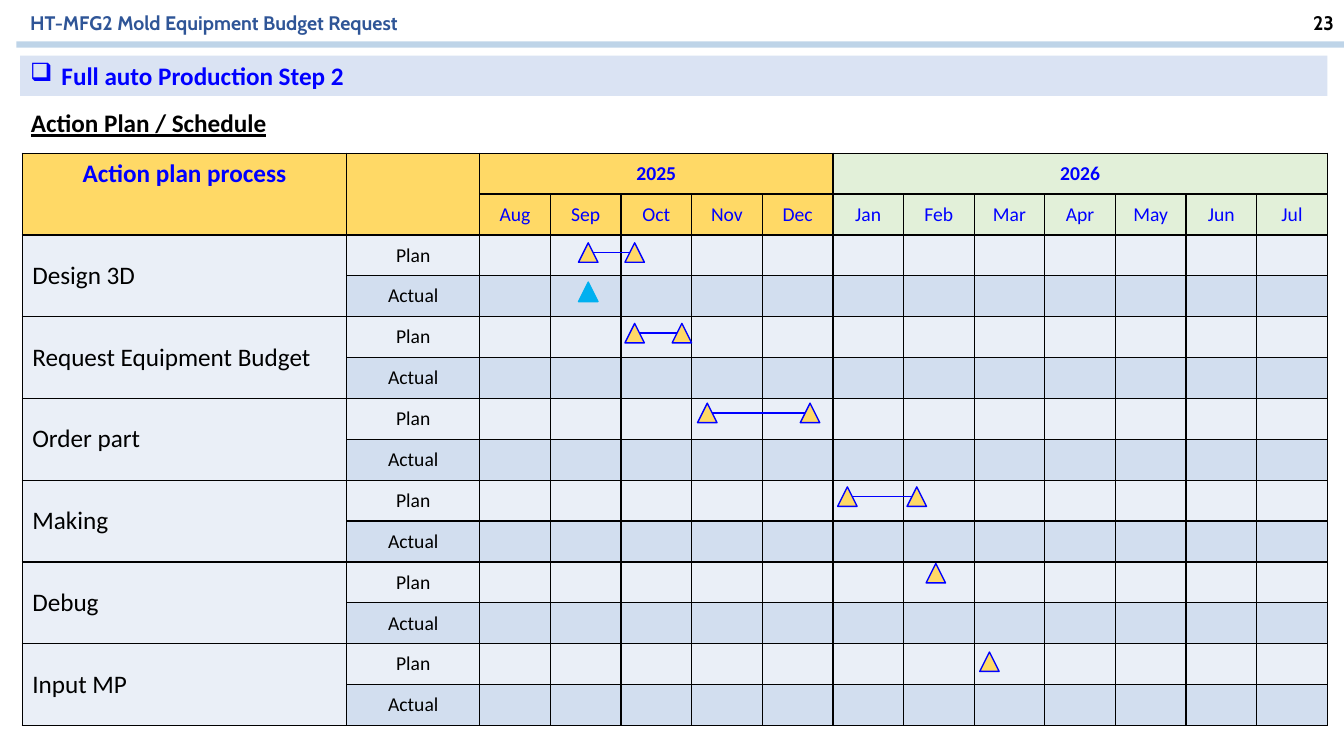
from lxml import etree
from pptx import Presentation
from pptx.dml.color import RGBColor
from pptx.enum import shapes, text
from pptx.oxml import ns, parse_xml
from pptx.util import Cm, Pt

BLUE, BLACK = "0000FF", "000000"
GOLD, GREEN, CYAN = "FFD966", "E2F0D9", "00B0F0"
PLAN_FILL, ACTUAL_FILL = "EAEFF7", "D2DEEF"
CENTER, RIGHT = text.PP_ALIGN.CENTER, text.PP_ALIGN.RIGHT
MIDDLE, TOP = text.MSO_ANCHOR.MIDDLE, text.MSO_ANCHOR.TOP

YEARS = [
    ("2025", GOLD, ["Aug", "Sep", "Oct", "Nov", "Dec"]),
    ("2026", GREEN, ["Jan", "Feb", "Mar", "Apr", "May", "Jun", "Jul"]),
]
PROCESSES = ["Design 3D", "Request Equipment Budget", "Order part",
             "Making", "Debug", "Input MP"]
COLUMN_WIDTHS = [8.18, 3.35] + [1.78] * 12
ROW_HEIGHT = 1.03

# Marker rows: top and lefts in cm from the table corner, fill, outline
MARKER_SIZE = 0.49
MARKER_ROWS = [
    (2.26, [14.02, 15.19], GOLD, BLUE),
    (3.25, [14.02], CYAN, CYAN),
    (4.29, [15.19, 16.38], GOLD, BLUE),
    (6.30, [17.02, 19.61], GOLD, BLUE),
    (8.41, [20.55, 22.30], GOLD, BLUE),
    (10.34, [22.78], GOLD, BLUE),
    (12.57, [24.13], GOLD, BLUE),
]


def color(value):
    return RGBColor.from_string(value)


def fill_solid(item, value):
    item.fill.solid()
    item.fill.fore_color.rgb = color(value)


def write(frame, words, size, ink, font="Calibri", bold=False,
          underline=False, align=None):
    paragraph = frame.paragraphs[0]
    paragraph.alignment = align
    run = paragraph.add_run()
    run.text = words
    run.font.name = font
    run.font.size = Pt(size)
    run.font.bold = bold
    run.font.underline = underline
    run.font.color.rgb = color(ink)
    return paragraph


def add_label(slide, box, words, size, ink, **style):
    frame = slide.shapes.add_textbox(*map(Cm, box)).text_frame
    frame.word_wrap = True
    frame.auto_size = text.MSO_AUTO_SIZE.SHAPE_TO_FIT_TEXT
    write(frame, words, size, ink, **style)


def add_line(slide, left, right, y, ink, weight):
    line = slide.shapes.add_connector(
        shapes.MSO_CONNECTOR.STRAIGHT, Cm(left), Cm(y), Cm(right), Cm(y))
    line.line.color.rgb = color(ink)
    line.line.width = Pt(weight)
    etree.SubElement(line._element.spPr, ns.qn("a:effectLst"))
    return line


def add_header(slide, box):
    left, top, width, height = box
    add_label(slide, (left + 0.1, top, 23.42, 0.88),
              "HT-MFG2 Mold Equipment Budget Request", 14, "2F5597",
              font="Cabin", bold=True)
    rule = add_line(slide, left, left + width, top + height, "2E75B6", 4.5)
    # Soften the rule
    ink = rule._element.spPr.find(".//" + ns.qn("a:srgbClr"))
    etree.SubElement(ink, ns.qn("a:alpha"), val="31000")
    add_label(slide, (left + width - 2.08, top, 2.08, 0.86), "23", 14, BLACK,
              font="Cabin", bold=True, align=RIGHT)


def add_title_band(slide, box):
    band = slide.shapes.add_shape(shapes.MSO_SHAPE.RECTANGLE, *map(Cm, box))
    band.shadow.inherit = False
    fill_solid(band, "DAE3F3")
    band.line.fill.background()
    band.text_frame.word_wrap = True
    band.text_frame.vertical_anchor = MIDDLE
    paragraph = write(band.text_frame, "Full auto Production Step 2", 18, BLUE,
                      bold=True, align=text.PP_ALIGN.LEFT)
    properties = paragraph._p.get_or_add_pPr()
    properties.set("marL", str(Cm(0.79)))
    properties.set("indent", str(-Cm(0.79)))
    etree.SubElement(properties, ns.qn("a:buChar"), char="❑")


def style_cell(cell, fill, anchor=MIDDLE):
    properties = cell._tc.get_or_add_tcPr()
    for side in "LRTB":
        properties.append(parse_xml(
            f'<a:ln{side} {ns.nsdecls("a")} w="12700"><a:solidFill>'
            f'<a:srgbClr val="{BLACK}"/></a:solidFill></a:ln{side}>'))
    fill_solid(cell, fill)
    cell.vertical_anchor = anchor


def add_schedule(slide, box):
    rows = 2 + 2 * len(PROCESSES)
    table = slide.shapes.add_table(
        rows, len(COLUMN_WIDTHS), *map(Cm, box)).table
    table.first_row = table.horz_banding = False
    for column, width in zip(table.columns, COLUMN_WIDTHS):
        column.width = Cm(width)
    for row in table.rows:
        row.height = Cm(ROW_HEIGHT)

    # Heading cells
    for column in (0, 1):
        for row in (0, 1):
            style_cell(table.cell(row, column), GOLD, TOP)
        table.cell(0, column).merge(table.cell(1, column))
    write(table.cell(0, 0).text_frame, "Action plan process", 18, BLUE,
          bold=True, align=CENTER)
    first = 2
    for year, fill, months in YEARS:
        for column, month in enumerate(months, first):
            style_cell(table.cell(0, column), fill)
            style_cell(table.cell(1, column), fill)
            write(table.cell(1, column).text_frame, month, 14, BLUE,
                  align=CENTER)
        table.cell(0, first).merge(table.cell(0, column))
        write(table.cell(0, first).text_frame, year, 14, BLUE, bold=True,
              align=CENTER)
        first += len(months)

    # Plan and actual rows of each process
    for index, process in enumerate(PROCESSES):
        top_row = 2 + 2 * index
        kinds = [("Plan", PLAN_FILL), ("Actual", ACTUAL_FILL)]
        for row, (kind, fill) in enumerate(kinds, top_row):
            style_cell(table.cell(row, 0), PLAN_FILL)
            for column in range(1, len(COLUMN_WIDTHS)):
                style_cell(table.cell(row, column), fill)
            write(table.cell(row, 1).text_frame, kind, 14, BLACK, align=CENTER)
        table.cell(top_row, 0).merge(table.cell(top_row + 1, 0))
        write(table.cell(top_row, 0).text_frame, process, 18, BLACK)


def add_markers(slide, box):
    left, top = box[:2]
    for y, positions, fill, outline in MARKER_ROWS:
        for x in positions:
            marker = slide.shapes.add_shape(
                shapes.MSO_SHAPE.ISOSCELES_TRIANGLE, Cm(left + x), Cm(top + y),
                Cm(MARKER_SIZE), Cm(MARKER_SIZE))
            marker.shadow.inherit = False
            fill_solid(marker, fill)
            marker.line.color.rgb = color(outline)
            marker.line.width = Pt(1)
        # Join each marker to the next, from side to side
        for start, end in zip(positions, positions[1:]):
            add_line(slide, left + start + MARKER_SIZE * 0.75,
                     left + end + MARKER_SIZE * 0.25,
                     top + y + MARKER_SIZE / 2, BLUE, 1)


def main():
    presentation = Presentation()
    presentation.slide_width = Cm(33.87)
    presentation.slide_height = Cm(19.05)
    slide = presentation.slides.add_slide(presentation.slide_layouts[6])
    schedule_box = (0.56, 3.86, sum(COLUMN_WIDTHS), 14 * ROW_HEIGHT)

    add_label(slide, (0.53, 2.59, 7.85, 1.02), "Action Plan / Schedule", 18,
              BLACK, bold=True, underline=True)
    add_title_band(slide, (0.51, 1.4, 32.94, 1.02))
    add_schedule(slide, schedule_box)
    add_markers(slide, schedule_box)
    add_header(slide, (0.41, 0.15, 33.46, 0.97))
    presentation.save("out.pptx")


if __name__ == "__main__":
    main()
